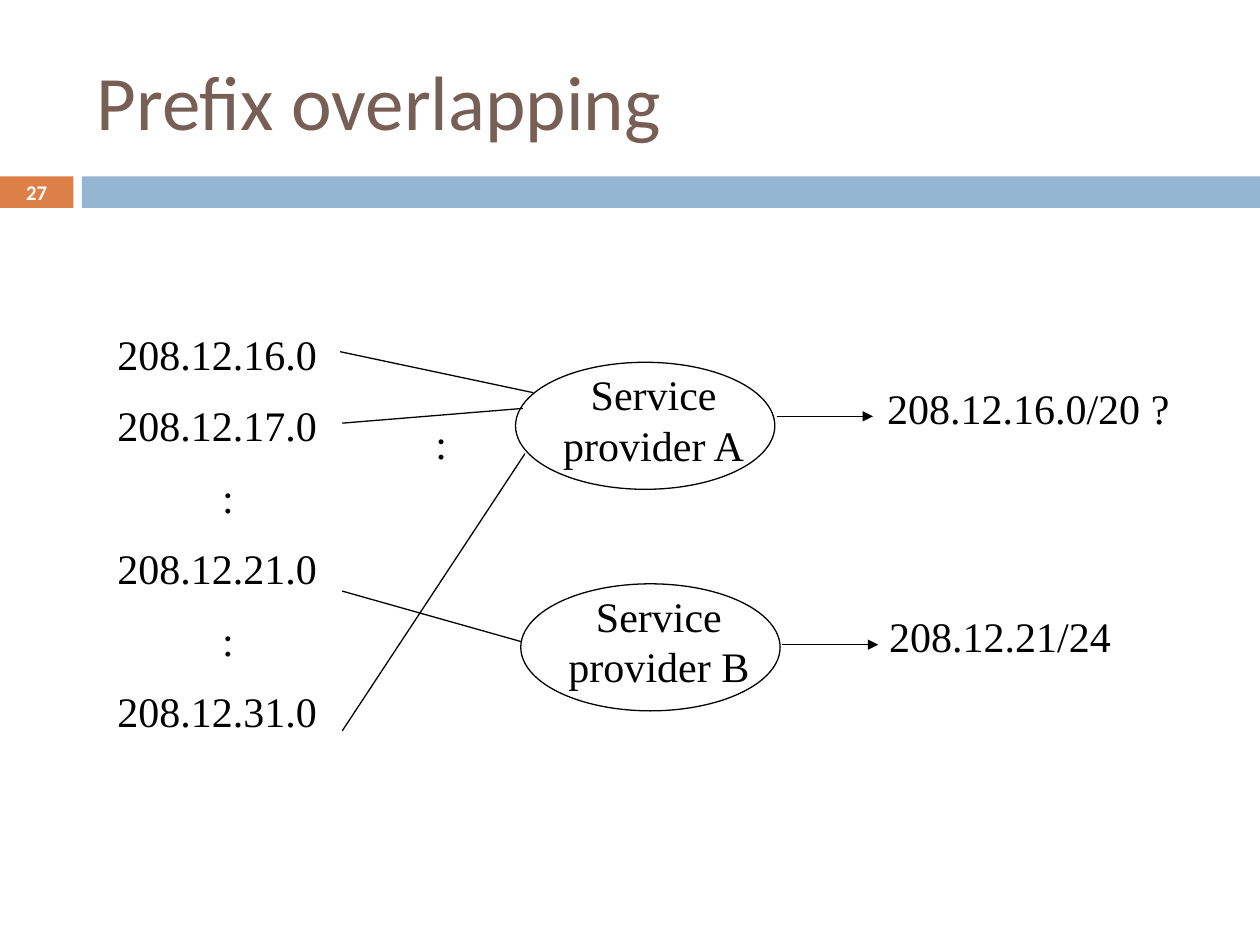
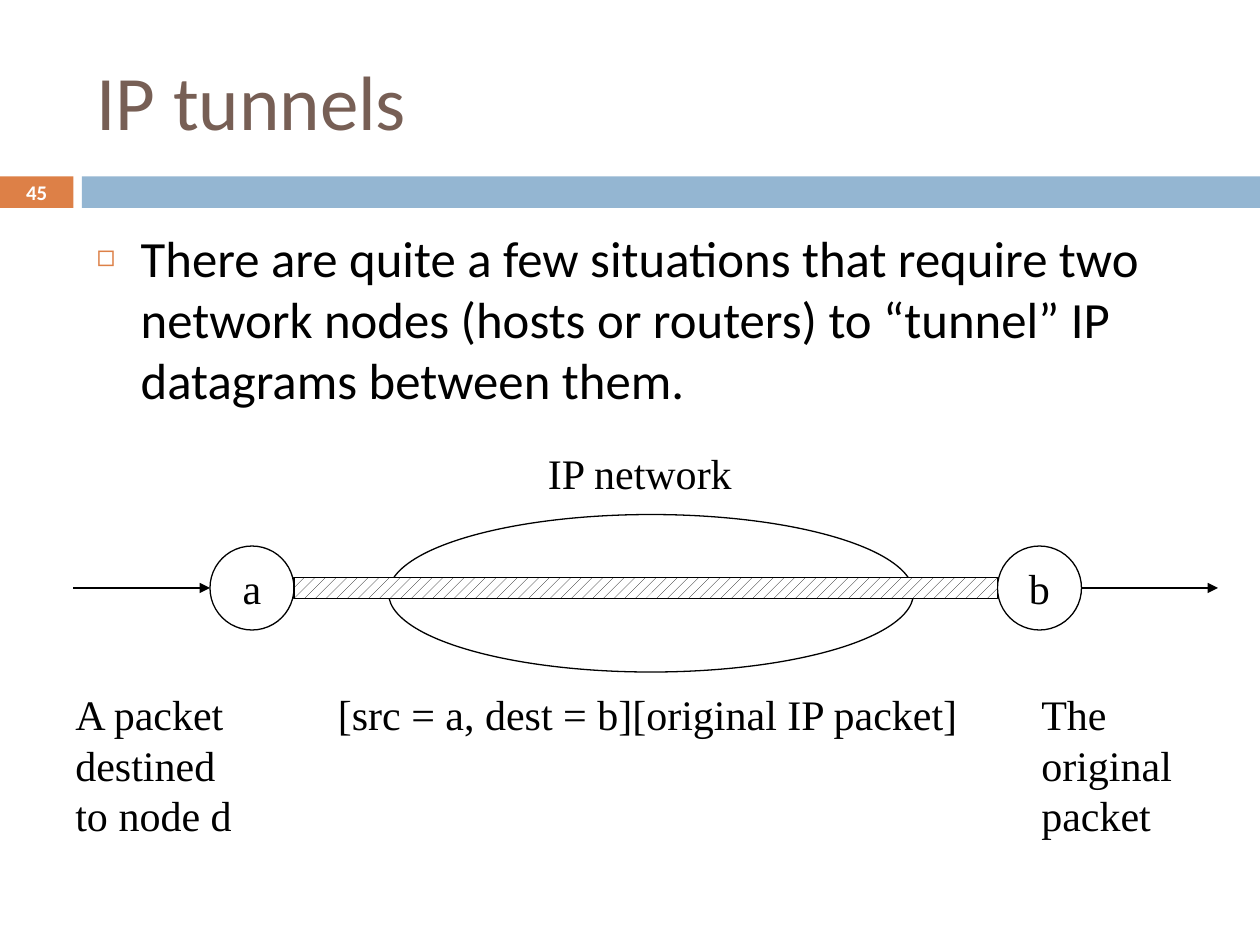
import lxml.etree
import pptx
import pptx.dml.color
import pptx.enum.dml
import pptx.enum.shapes
import pptx.enum.text
import pptx.oxml.ns
import pptx.util

HUES = {"ink": "000000", "paper": "FFFFFF", "title": "775F55",
        "badge": "DD8047", "band": "94B6D2"}
SANS, SERIF = "Calibri", "Times New Roman"
COLS, ROWS = 120, 90
ALIGN = pptx.enum.text.PP_ALIGN
ANCHOR = pptx.enum.text.MSO_ANCHOR
FORMS = pptx.enum.shapes.MSO_SHAPE
tag = pptx.oxml.ns.qn


def hue(name):
    """Return the named colour."""
    return pptx.dml.color.RGBColor.from_string(HUES[name])


def write(frame, text, size=24, font=SERIF, ink="ink", bold=False,
          align=ALIGN.LEFT, anchor=ANCHOR.TOP, wrap=True, gap=12, pitch=28.8):
    """Fill a text frame with one paragraph for each line of text."""
    frame.text = text
    frame.word_wrap = wrap
    frame.auto_size = pptx.enum.text.MSO_AUTO_SIZE.NONE
    frame.vertical_anchor = anchor
    for rank, para in enumerate(frame.paragraphs):
        para.alignment = align
        para.space_before = pptx.util.Pt(gap if rank else 0)
        if pitch:
            para.line_spacing = pptx.util.Pt(pitch)
        for run in para.runs:
            run.font.size = pptx.util.Pt(size)
            run.font.name = font
            run.font.bold = bold
            run.font.color.rgb = hue(ink)
    return frame


class Deck:
    """Hold the deck style and the current slide, with lengths on a grid."""

    def __init__(self):
        """Start a deck of ten by seven and a half inches."""
        self.show = pptx.Presentation()
        self.show.slide_width = pptx.util.Inches(10)
        self.show.slide_height = pptx.util.Inches(7.5)
        self.slide = None

    def grid(self, *spots):
        """Turn columns and rows, in turn, into lengths."""
        units = (self.show.slide_width / COLS, self.show.slide_height / ROWS)
        return [round(spot * units[rank % 2]) for rank, spot in enumerate(spots)]

    def place(self, shape, *spots):
        """Move and size a shape on the grid."""
        shape.left, shape.top, shape.width, shape.height = self.grid(*spots)

    def page(self, title, number, layout):
        """Add a slide with its title, bands and number."""
        self.slide = self.show.slides.add_slide(self.show.slide_layouts[layout])
        self.form(FORMS.RECTANGLE, 0, 16.8, 7, 3, fill="badge", line=None)
        self.form(FORMS.RECTANGLE, 7.8, 16.8, 112.2, 3, fill="band", line=None)
        head = self.slide.shapes.title
        self.place(head, 8, 3, 107, 13)
        write(head.text_frame, title, size=44, font=SANS, ink="title",
              anchor=ANCHOR.MIDDLE, pitch=None)
        self.text(number, 0, 16.7, 7, 3.2, size=11.9, font=SANS, ink="paper",
                  bold=True, align=ALIGN.CENTER, anchor=ANCHOR.MIDDLE, pitch=None)

    def form(self, kind, *spots, fill=None, line="ink"):
        """Add a preset shape."""
        shape = self.slide.shapes.add_shape(kind, *self.grid(*spots))
        shape.shadow.inherit = False
        if fill:
            shape.fill.solid()
            shape.fill.fore_color.rgb = hue(fill)
        else:
            shape.fill.background()
        if line:
            shape.line.color.rgb = hue(line)
            shape.line.width = pptx.util.Pt(0.75)
        else:
            shape.line.fill.background()
        return shape

    def text(self, words, *spots, **style):
        """Add a text box."""
        box = self.slide.shapes.add_textbox(*self.grid(*spots))
        return write(box.text_frame, words, **style)

    def link(self, *spots, arrow=False):
        """Add a straight line from one point to another."""
        kind = pptx.enum.shapes.MSO_CONNECTOR.STRAIGHT
        edge = self.slide.shapes.add_connector(kind, *self.grid(*spots))
        edge.line.color.rgb = hue("ink")
        edge.line.width = pptx.util.Pt(0.75)
        props = edge._element.spPr
        if arrow:
            lxml.etree.SubElement(props.find(tag("a:ln")), tag("a:tailEnd"),
                                  type="triangle")
        lxml.etree.SubElement(props, tag("a:effectLst"))

    def list(self, words, *spots):
        """Fill the body placeholder with a square bullet list."""
        body = self.slide.placeholders[1]
        self.place(body, *spots)
        frame = write(body.text_frame, words, size=29, font=SANS, gap=7, pitch=None)
        for para in frame.paragraphs:
            props = para._p.get_or_add_pPr()
            dent = pptx.util.Inches(0.35)
            props.set("marL", str(dent))
            props.set("indent", str(-dent))
            tint = lxml.etree.SubElement(props, tag("a:buClr"))
            lxml.etree.SubElement(tint, tag("a:srgbClr"), val=HUES["badge"])
            lxml.etree.SubElement(props, tag("a:buSzPct"), val="60000")
            lxml.etree.SubElement(props, tag("a:buChar"), char="◻")


def prefix(deck):
    """Draw the slide on overlapping prefixes."""
    deck.page("Prefix overlapping", "27", 5)
    nets = deck.text("208.12.16.0\n208.12.17.0\n:\n208.12.21.0\n:\n208.12.31.0",
                     10, 30.7, 23.4, 41.9)
    for para in nets.paragraphs:
        if para.text == ":":
            para.alignment = ALIGN.CENTER
    deck.text(":", 40.3, 39.2, 3.6, 6)
    hosts = (("A", 49.1, 34.5, "208.12.16.0/20 ?", 83.3, 35.8, 39.65),
             ("B", 49.6, 55.6, "208.12.21/24", 83.5, 57.6, 61.4))
    for name, left, top, route, side, high, level in hosts:
        deck.form(FORMS.OVAL, left, top, 24.7, 12.1)
        deck.text(f"Service provider {name}", left + 2.4, top + 0.05, 21.5, 10.8,
                  align=ALIGN.CENTER)
        deck.text(route, side, high, 29.6, 6)
        deck.link(left + 24.9, level, left + 34.05, level, arrow=True)
    for ends in ((50.8, 37.4, 32.4, 33.5), (49.8, 38.9, 32.6, 40.3),
                 (50, 43.2, 32.6, 69.6), (32.6, 56.3, 49.6, 61.1)):
        deck.link(*ends)


def tunnel(deck):
    """Draw the slide on tunnels."""
    deck.page("IP tunnels", "45", 1)
    deck.list("There are quite a few situations that require two network nodes "
              "(hosts or routers) to “tunnel” IP datagrams between them.",
              8, 21, 107, 59)
    for name, left in (("a", 20), ("b", 95)):
        node = deck.form(FORMS.OVAL, left, 52, 8, 8, fill="paper")
        write(node.text_frame, name, align=ALIGN.CENTER, anchor=ANCHOR.MIDDLE,
              wrap=False)
    deck.form(FORMS.OVAL, 37, 49, 50, 15, fill="paper")
    pipe = deck.form(FORMS.RECTANGLE, 28, 55, 67, 2)
    pipe.fill.patterned()
    pipe.fill.pattern = pptx.enum.dml.MSO_PATTERN.PERCENT_20
    pipe.fill.fore_color.rgb = hue("ink")
    pipe.fill.back_color.rgb = hue("paper")
    for start in (7, 103):
        deck.link(start, 56, start + 13, 56, arrow=True)
    for words, left, top, width, height in (
            ("IP network", 51, 42, 23, 6),
            ("A packet destined to node d", 6, 65, 18, 15.6),
            ("[src = a, dest = b][original IP packet]", 31, 65, 63, 6),
            ("The original packet", 98, 65, 18, 15.6)):
        deck.text(words, left, top, width, height)


def main():
    """Build and save the deck."""
    deck = Deck()
    prefix(deck)
    tunnel(deck)
    deck.show.save("out.pptx")


if __name__ == "__main__":
    main()
